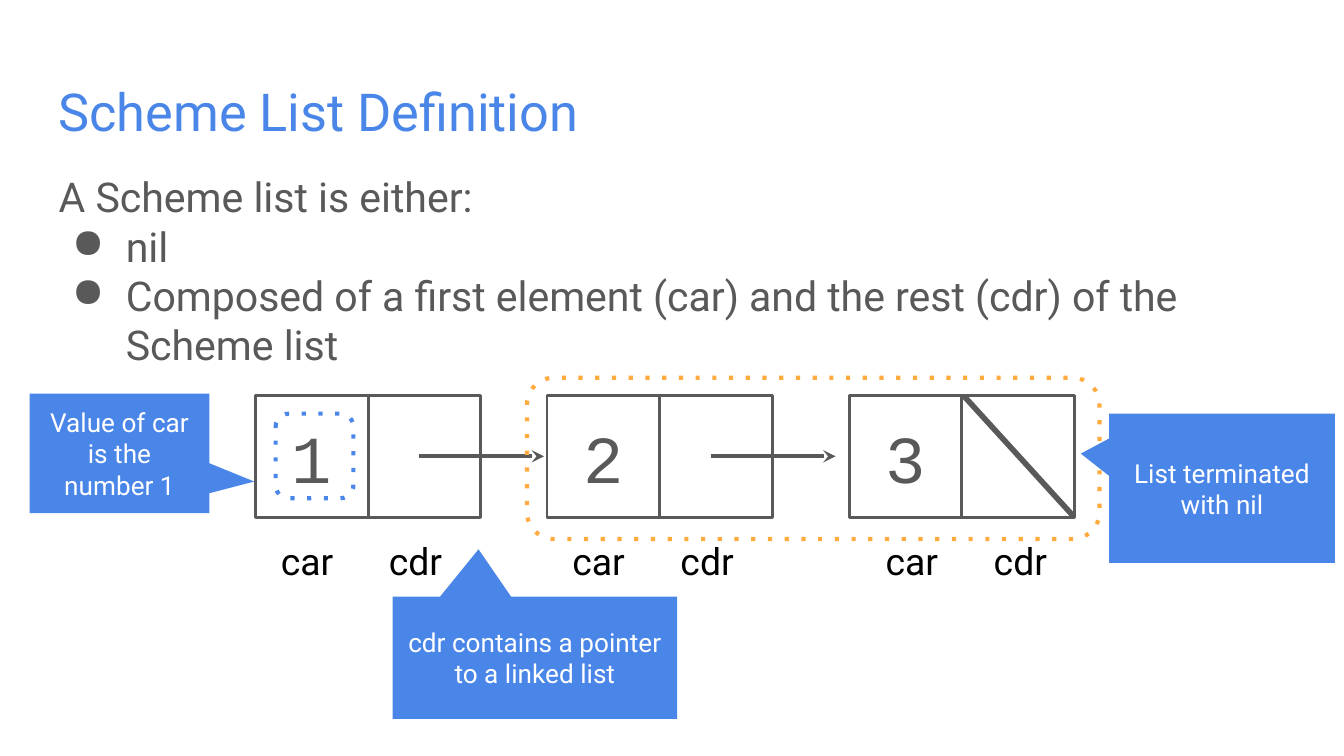
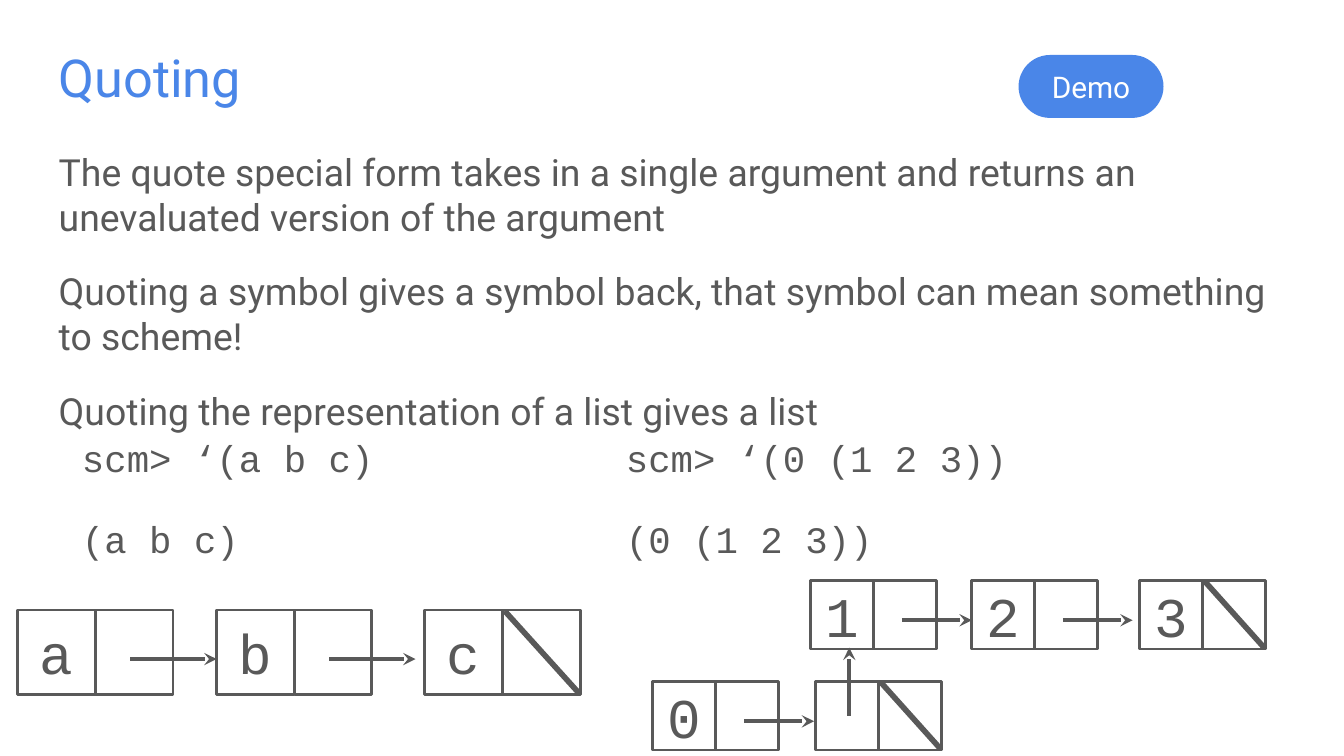
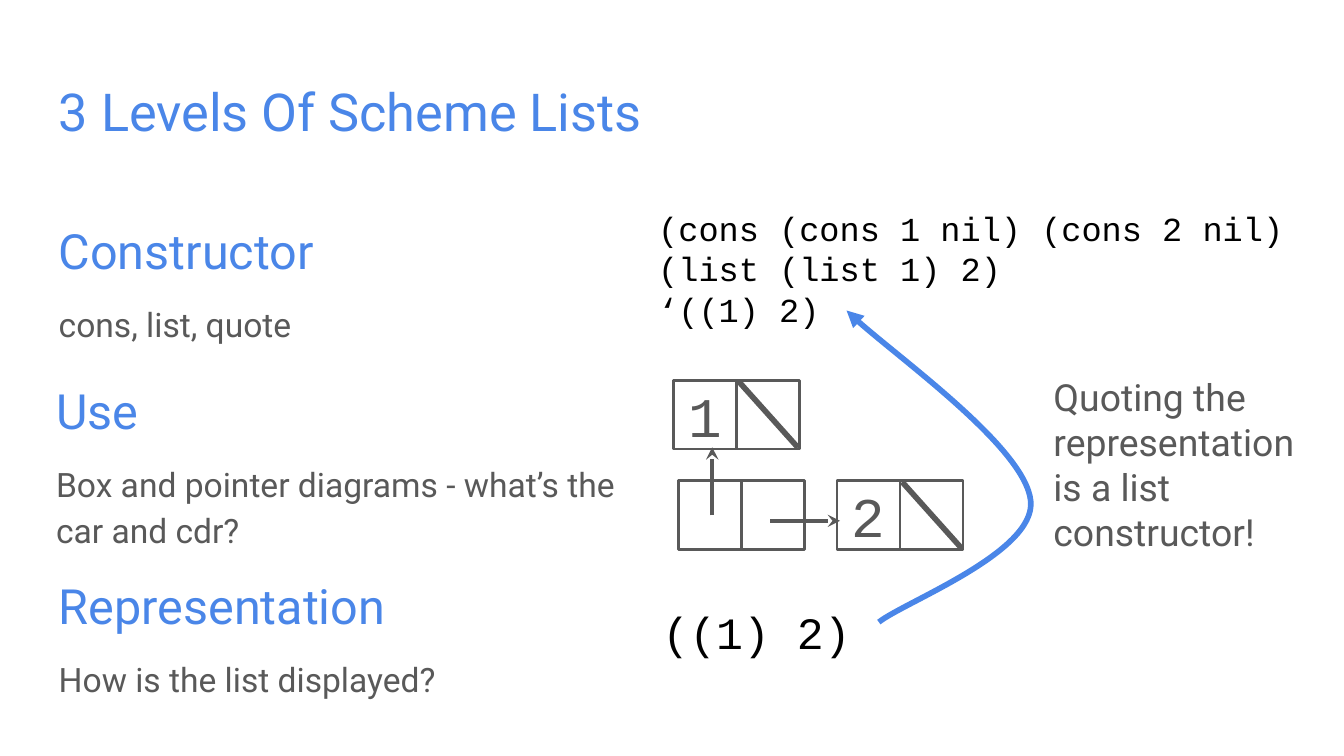
"""Build three slides about Scheme lists and their box-and-pointer diagrams."""
import pptx
import pptx.dml.color
import pptx.enum.dml
import pptx.enum.shapes
import pptx.enum.text
import pptx.oxml
import pptx.oxml.ns
import pptx.util

Cm = pptx.util.Cm
Pt = pptx.util.Pt
RGBColor = pptx.dml.color.RGBColor
SHAPE = pptx.enum.shapes.MSO_SHAPE
ALIGN = pptx.enum.text.PP_ALIGN
ANCHOR = pptx.enum.text.MSO_ANCHOR

BLUE = RGBColor(0x4A, 0x86, 0xE8)
GREY = RGBColor(0x59, 0x59, 0x59)
ORANGE = RGBColor(0xFF, 0xAB, 0x40)
BLACK = RGBColor(0, 0, 0)
WHITE = RGBColor(255, 255, 255)
SANS, MONO = "Roboto", "Courier New"

LARGE = {"width": 2.13, "height": 2.31, "size": 36, "pointer": 0.5}
MEDIUM = {"width": 1.47, "height": 1.6, "size": 30, "pointer": 0.58}
SMALL = {"width": 1.19, "height": 1.3, "size": 30, "pointer": 0.58}

LIST_DEFINITION = [
    {"text": "A Scheme list is either:"},
    {"text": "nil", "bullet": True},
    {"text": "Composed of a first element (car) and the rest (cdr) of the Scheme list",
     "bullet": True},
]
DEFINITION_PAIRS = [
    ("1", 4.83, 7.47, ["next"]),
    ("2", 10.34, 7.47, ["next"]),
    ("3", 16.05, 7.47, ["nil"]),
]
PAIR_LABEL_LEFTS = [4.78, 10.29, 16.21]
DOTTED_OUTLINES = [
    ((5.21, 7.82, 1.47, 1.6), BLUE),
    ((9.96, 7.14, 10.82, 3.05), ORANGE),
]
CALLOUTS = [
    ("Value of car is the number 1", (0.56, 7.44, 3.4, 2.26), (0.749, 0.236, 0)),
    ("cdr contains a pointer to a linked list", (7.42, 11.28, 5.38, 2.31), (-0.198, -0.888, 0)),
    ("List terminated with nil", (20.96, 7.82, 4.27, 2.82), (-0.625, -0.232, 0)),
]

QUOTING_RULES = [
    {"text": "The quote special form takes in a single argument and returns an "
             "unevaluated version of the argument"},
    {"text": "Quoting a symbol gives a symbol back, that symbol can mean something to scheme!",
     "before": 16},
    {"text": "Quoting the representation of a list gives a list", "before": 16},
]
QUOTING_SESSIONS = [
    ("scm> ‘(a b c)", "(a b c)", 1.3, 9.93),
    ("scm> ‘(0 (1 2 3))", "(0 (1 2 3))", 11.58, 13.79),
]
SYMBOL_PAIRS = [
    ("a", 0.33, 11.53, ["next"]),
    ("b", 4.09, 11.53, ["next"]),
    ("c", 8.03, 11.53, ["nil"]),
]
NESTED_PAIRS = [
    ("1", 15.32, 10.97, ["next"]),
    ("2", 18.36, 10.97, ["next"]),
    ("3", 21.54, 10.97, ["nil"]),
    ("", 15.42, 12.88, ["nil", "up"]),
    ("0", 12.34, 12.88, ["next"]),
]

LEVELS = [
    ("Constructor", "cons, list, quote", 0.86, 3.76),
    ("Use", "Box and pointer diagrams - what’s the car and cdr?", 0.81, 6.78),
    ("Representation", "How is the list displayed?", 0.86, 10.47),
]
CONSTRUCTORS = ["(cons (cons 1 nil) (cons 2 nil)", "(list (list 1) 2)", "‘((1) 2)"]
LEVEL_PAIRS = [
    ("1", 12.73, 7.19, ["nil"]),
    ("", 12.83, 9.09, ["up", "next"]),
    ("2", 15.82, 9.09, ["nil"]),
]
QUOTING_CURVE = [
    (16.61, 11.76), (17.09, 11.38), (19.58, 10.44), (19.48, 9.47),
    (19.38, 8.48), (16.59, 6.48), (16.0, 5.87),
]


def add_element(parent, tag, **attributes):
    element = pptx.oxml.parse_xml(f"<a:{tag} {pptx.oxml.ns.nsdecls('a')}/>")
    for name, value in attributes.items():
        element.set(name, value)
    parent.append(element)
    return element


def add_bullet(paragraph):
    properties = paragraph._p.get_or_add_pPr()
    properties.set("marL", str(Cm(1.27)))
    properties.set("indent", str(-Cm(1.02)))
    add_element(add_element(properties, "buClr"), "srgbClr", val=str(GREY))
    add_element(properties, "buChar", char="●")


def write(shape, lines, size, color, font=SANS, align=ALIGN.LEFT, anchor=ANCHOR.TOP, spacing=1.0):
    frame = shape.text_frame
    frame.word_wrap = True
    frame.auto_size = pptx.enum.text.MSO_AUTO_SIZE.NONE
    frame.vertical_anchor = anchor
    frame.margin_left = frame.margin_right = frame.margin_top = frame.margin_bottom = Cm(0.25)
    for index, line in enumerate(lines):
        paragraph = frame.add_paragraph() if index else frame.paragraphs[0]
        if line.get("bullet"):
            add_bullet(paragraph)
        paragraph.alignment = align
        paragraph.line_spacing = spacing
        paragraph.space_before = Pt(line.get("before", 0))
        run = paragraph.add_run()
        run.text = line["text"]
        run.font.name = font
        run.font.size = Pt(line.get("size", size))
        run.font.color.rgb = line.get("color", color)


def add_text(slide, box, lines, size, color, **style):
    write(slide.shapes.add_textbox(*map(Cm, box)), lines, size, color, **style)


def add_box(slide, kind, box, fill=None, line=None, width=1.5, adjustments=()):
    shape = slide.shapes.add_shape(kind, *map(Cm, box))
    shape.shadow.inherit = False
    for index, value in enumerate(adjustments):
        shape.adjustments[index] = value
    if fill is None:
        shape.fill.background()
    else:
        shape.fill.solid()
        shape.fill.fore_color.rgb = fill
    if line is None:
        shape.line.fill.background()
    else:
        shape.line.color.rgb = line
        shape.line.width = Pt(width)
    return shape


def add_filled_label(slide, kind, box, text, size, adjustments):
    shape = add_box(slide, kind, box, fill=BLUE, adjustments=adjustments)
    write(shape, [{"text": text}], size, WHITE, align=ALIGN.CENTER, anchor=ANCHOR.MIDDLE)


def add_line(slide, start, end, width, head=None):
    straight = pptx.enum.shapes.MSO_CONNECTOR.STRAIGHT
    connector = slide.shapes.add_connector(straight, *map(Cm, start + end))
    connector.line.color.rgb = GREY
    connector.line.width = Pt(width)
    if head:
        add_element(connector.line._get_or_add_ln(), "tailEnd", type=head)
    add_element(connector._element.spPr, "effectLst")


def add_pairs(slide, pairs, cell):
    width, height = cell["width"], cell["height"]
    for value, left, top, marks in pairs:
        car, _ = [
            add_box(slide, SHAPE.RECTANGLE, (left + column * width, top, width, height), line=GREY)
            for column in range(2)
        ]
        if value:
            write(car, [{"text": value}], cell["size"], GREY, font=MONO,
                  align=ALIGN.CENTER, anchor=ANCHOR.MIDDLE)
        if "next" in marks:
            start, level = left + 1.45 * width, top + cell["pointer"] * height
            add_line(slide, (start, level), (start + 1.11 * width, level), 2.25, "stealth")
        if "up" in marks:
            center = left + 0.53 * width
            add_line(slide, (center, top + 0.5 * height), (center, top - 0.49 * height),
                     2.25, "stealth")
        if "nil" in marks:
            add_line(slide, (left + width + 0.04, top + 0.02),
                     (left + 2 * width - 0.03, top + height - 0.03), 3)


def add_curve(slide, points):
    start, *others = [(Cm(x), Cm(y)) for x, y in points]
    builder = slide.shapes.build_freeform(*start)
    builder.add_line_segments(others, close=False)
    shape = builder.convert_to_shape()
    shape.shadow.inherit = False
    shape.fill.background()
    shape.line.color.rgb = BLUE
    shape.line.width = Pt(3)
    add_element(shape.line._get_or_add_ln(), "tailEnd", type="triangle")
    outline = shape._element.xpath(".//a:path")[0]
    segments = outline.xpath("a:lnTo")
    for first in range(0, len(segments), 3):
        curve = add_element(outline, "cubicBezTo")
        for segment in segments[first:first + 3]:
            curve.append(segment[0])
            outline.remove(segment)


def add_slide(presentation, title, top=1.24):
    slide = presentation.slides.add_slide(presentation.slide_layouts[5])
    placeholder = slide.shapes.title
    placeholder.left, placeholder.top = Cm(0.86), Cm(top)
    placeholder.width, placeholder.height = Cm(23.67), Cm(1.6)
    write(placeholder, [{"text": title}], 28, BLUE)
    return slide


def build_definition(presentation):
    slide = add_slide(presentation, "Scheme List Definition")
    add_text(slide, (0.86, 3, 23.67, 3.23), LIST_DEFINITION, 22, GREY)
    add_pairs(slide, DEFINITION_PAIRS, LARGE)
    for box, color in DOTTED_OUTLINES:
        outline = add_box(slide, SHAPE.ROUNDED_RECTANGLE, box, line=color, width=2.25,
                          adjustments=[0.167])
        outline.line.dash_style = pptx.enum.dml.MSO_LINE.ROUND_DOT
        outline._element.xpath(".//a:prstDash")[0].set("val", "dot")
    for left in PAIR_LABEL_LEFTS:
        for column, name in enumerate(("car", "cdr")):
            add_text(slide, (left + column * 2.05, 9.93, 2.05, 1.02), [{"text": name}],
                     20, BLACK, align=ALIGN.CENTER)
    for text, box, adjustments in CALLOUTS:
        add_filled_label(slide, SHAPE.ROUNDED_RECTANGULAR_CALLOUT, box, text, 14, adjustments)


def build_quoting(presentation):
    slide = add_slide(presentation, "Quoting", top=0.61)
    add_text(slide, (0.86, 2.57, 23.67, 5.13), QUOTING_RULES, 20, GREY)
    for command, result, left, width in QUOTING_SESSIONS:
        add_text(slide, (left, 7.85, width, 2.9),
                 [{"text": command}, {"text": result, "before": 16}],
                 20, GREY, font=MONO, spacing=1.15)
    add_pairs(slide, SYMBOL_PAIRS, MEDIUM)
    add_pairs(slide, NESTED_PAIRS, SMALL)
    add_filled_label(slide, SHAPE.ROUNDED_RECTANGLE, (19.25, 1.04, 2.74, 1.19), "Demo", 16, [0.5])


def build_levels(presentation):
    slide = add_slide(presentation, "3 Levels Of Scheme Lists")
    for heading, detail, left, top in LEVELS:
        lines = [{"text": heading, "size": 26, "color": BLUE}, {"text": detail, "before": 10}]
        add_text(slide, (left, top, 11.3, 3.02), lines, 18, GREY, spacing=1.15)
    add_text(slide, (12.19, 3.68, 12.9, 3.15), [{"text": code} for code in CONSTRUCTORS],
             18, BLACK, font=MONO)
    add_text(slide, (12.27, 11.18, 12.9, 1.6), [{"text": "((1) 2)"}], 24, BLACK, font=MONO)
    add_pairs(slide, LEVEL_PAIRS, SMALL)
    add_curve(slide, QUOTING_CURVE)
    add_text(slide, (19.66, 6.83, 5.11, 3.48),
             [{"text": "Quoting the representation is a list constructor!"}], 20, GREY)


def main():
    presentation = pptx.Presentation()
    presentation.slide_width, presentation.slide_height = Cm(25.4), Cm(14.29)
    build_definition(presentation)
    build_quoting(presentation)
    build_levels(presentation)
    presentation.save("out.pptx")


if __name__ == "__main__":
    main()
